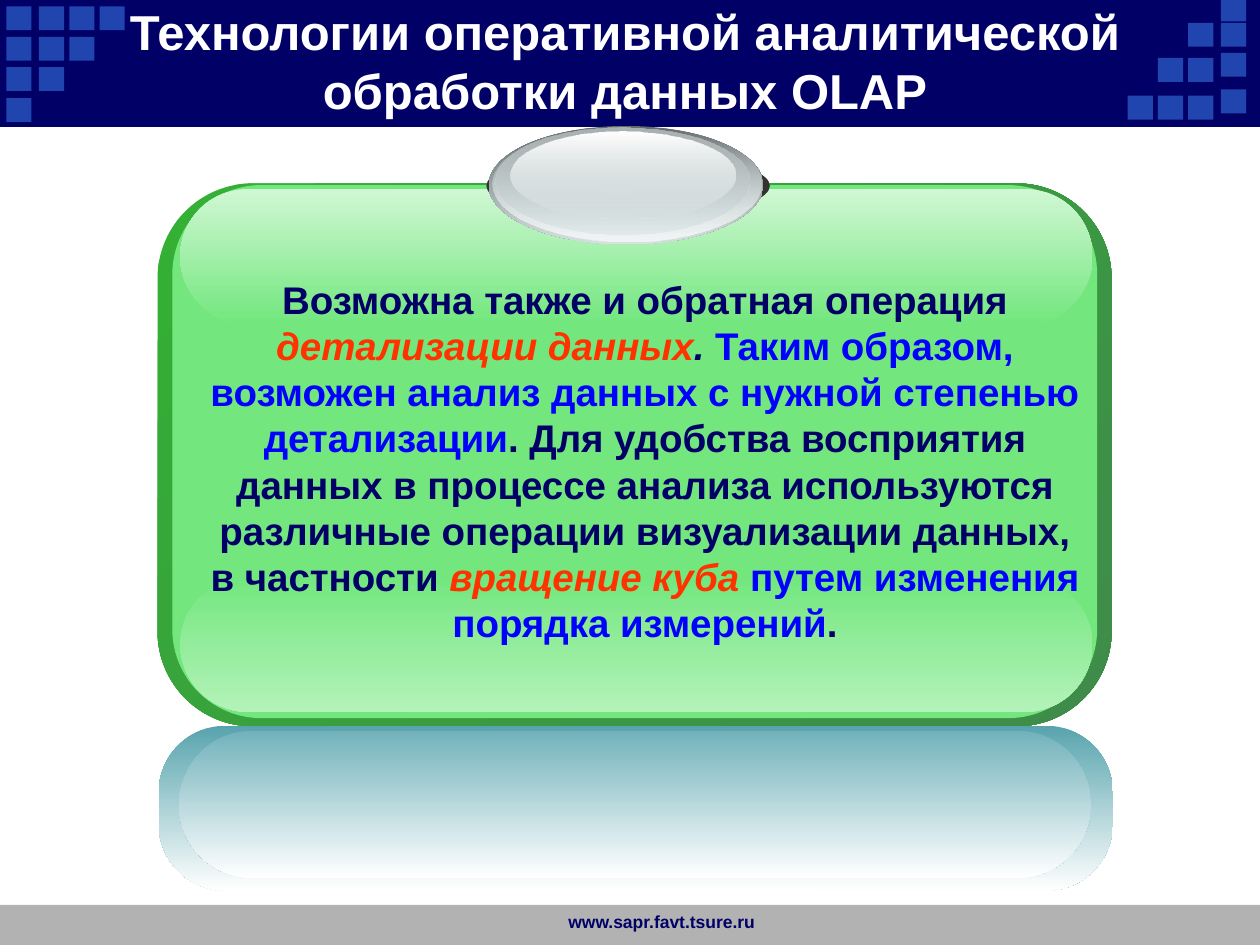
from lxml.etree import SubElement
from pptx import Presentation
from pptx.dml.color import RGBColor
from pptx.enum.shapes import MSO_SHAPE
from pptx.enum.text import MSO_ANCHOR, PP_ALIGN
from pptx.oxml.ns import qn
from pptx.util import Pt

NAVY, WHITE, ORANGE, BLUE = "000066", "FFFFFF", "FF3300", "0000FF"
SQUARE_BLUE = "2045AE"


def color(value):
    return RGBColor.from_string(value)


class SlideBuilder:
    """Holds the text style and the slide being drawn; lengths are points."""

    font_name = "Arial"

    def __init__(self, slide):
        self.slide = slide

    def shape(self, kind, box, fill, adjustment=None):
        shape = self.slide.shapes.add_shape(kind, *map(Pt, box))
        shape.shadow.inherit = False
        shape.line.fill.background()
        if fill:
            shape.fill.solid()
            shape.fill.fore_color.rgb = color(fill)
        if adjustment is not None:
            shape.adjustments[0] = adjustment
        return shape

    def gradient_shape(self, kind, box, colors, adjustment=None, angle=90, opacities=(100, 100)):
        """Add a two-colour gradient shape; the angle runs clockwise, opacity is in percent."""
        shape = self.shape(kind, box, None, adjustment)
        shape.fill.gradient()
        shape.fill.gradient_angle = 360 - angle
        for stop, value in zip(shape.fill.gradient_stops, colors):
            stop.color.rgb = color(value)
        stop_colors = shape._element.spPr.iter(qn("a:srgbClr"))
        for element, opacity in zip(list(stop_colors), opacities):
            if opacity < 100:
                SubElement(element, qn("a:alpha"), val=str(opacity * 1000))
        return shape

    def squares(self, positions):
        for left, top in positions:
            self.shape(MSO_SHAPE.RECTANGLE, (left, top, 14.4, 13.7), SQUARE_BLUE)

    def text(self, box, runs, size, alignment=PP_ALIGN.CENTER, anchor=MSO_ANCHOR.TOP):
        """Add one bold paragraph from (text, colour, italic) runs."""
        text_frame = self.slide.shapes.add_textbox(*map(Pt, box)).text_frame
        text_frame.word_wrap = True
        text_frame.vertical_anchor = anchor
        paragraph = text_frame.paragraphs[0]
        paragraph.alignment = alignment
        for content, run_color, italic in runs:
            run = paragraph.add_run()
            run.text = content
            run.font.name = self.font_name
            run.font.size = Pt(size)
            run.font.bold = True
            run.font.italic = italic
            run.font.color.rgb = color(run_color)


def draw_frame(builder):
    builder.shape(MSO_SHAPE.RECTANGLE, (0, 517, 720, 23), "B2B2B2")
    header = builder.shape(MSO_SHAPE.RECTANGLE, (0, 0, 720, 72), NAVY)
    header.line.color.rgb = color(NAVY)
    header.line.width = Pt(0.75)

    left_columns = (3.6, 22.3, 39.6, 56.9)
    left_rows = ((3.6, 4), (21, 3), (38.3, 2), (56, 1))
    builder.squares((left, top) for top, count in left_rows for left in left_columns[:count])
    right_columns = (
        (697.7, (51.1, 30.2, 13, -1.4)),
        (679, (54.7, 33.1, 13)),
        (661.7, (54.7, 33.1)),
        (644.4, (54.7,)),
    )
    builder.squares((left, top) for left, tops in right_columns for top in tops)
    builder.text((300, 517, 138.4, 23), [("www.sapr.favt.tsure.ru", NAVY, False)], 10, PP_ALIGN.RIGHT)


def draw_panel(builder):
    rounded = MSO_SHAPE.ROUNDED_RECTANGLE
    builder.gradient_shape(rounded, (90, 104.8, 545.2, 310.2), ("34B034", "3F8B4A"), 0.175, 45)
    builder.shape(rounded, (98.5, 105.8, 528.5, 304.6), "73E77E", 0.167)
    builder.gradient_shape(rounded, (103, 329.8, 521.3, 77), ("73E77E", "B3F2B9"), 0.5)
    builder.gradient_shape(rounded, (103, 108, 521.3, 77), ("D0F7D4", "73E77E"), 0.5)


def draw_button(builder):
    builder.shape(MSO_SHAPE.OVAL, (277.9, 87.1, 162, 38.2), "333333")
    layers = (
        ((279.2, 72, 157, 67.7), ("636869", "D6E1E2"), (100, 100)),
        ((281.5, 72, 153.4, 66.2), ("D6E1E2", "F1F5F5"), (0, 100)),
        ((283, 72.7, 145.4, 61.2), ("AAB2B3", "D6E1E2"), (100, 48)),
        ((291.6, 74.9, 128.9, 49.7), ("FFFFFF", "D6E1E2"), (100, 38)),
    )
    for box, colors, opacities in layers:
        builder.gradient_shape(MSO_SHAPE.OVAL, box, colors, opacities=opacities)


def draw_reflection(builder):
    rounded = MSO_SHAPE.ROUNDED_RECTANGLE
    builder.gradient_shape(rounded, (90.7, 414.7, 545.2, 94.3), ("58A4AE", WHITE), 0.404)
    builder.gradient_shape(rounded, (102.2, 417.6, 521.3, 84.2), ("72B2BB", WHITE), 0.5)


def main():
    presentation = Presentation()
    presentation.slide_width = Pt(720)
    presentation.slide_height = Pt(540)
    builder = SlideBuilder(presentation.slides.add_slide(presentation.slide_layouts[6]))

    draw_frame(builder)
    draw_panel(builder)
    draw_button(builder)
    builder.text((109.4, 154.1, 518.4, 218.2), [
        ("Возможна также и обратная операция ", NAVY, False),
        ("детализации данных", ORANGE, True),
        (". ", NAVY, True),
        ("Таким образом, возможен анализ данных с нужной степенью детализации", BLUE, False),
        (". Для удобства восприятия данных в процессе анализа используются "
         "различные операции визуализации данных, в частности ", NAVY, False),
        ("вращение куба ", ORANGE, True),
        ("путем изменения порядка измерений", BLUE, False),
        (".", NAVY, False),
    ], 22)
    draw_reflection(builder)
    builder.text(
        (66.2, 12.2, 581.8, 44.6),
        [("Технологии оперативной аналитической обработки данных OLAP", WHITE, False)],
        28, anchor=MSO_ANCHOR.MIDDLE)
    presentation.save("out.pptx")


if __name__ == "__main__":
    main()
